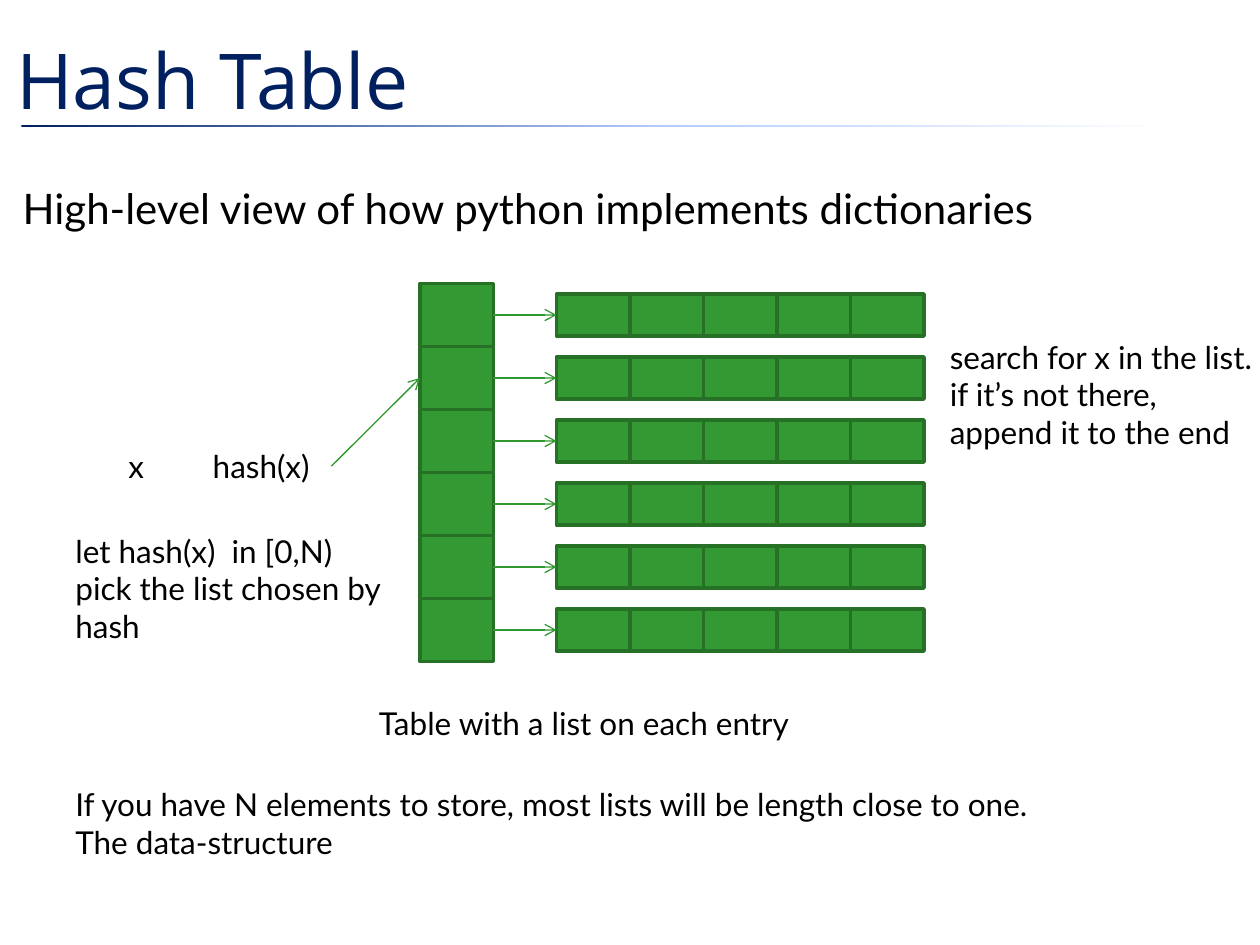
from lxml import etree
from pptx import Presentation
from pptx.dml.color import RGBColor
from pptx.enum import shapes, text
from pptx.oxml import parse_xml
from pptx.oxml.ns import nsdecls, qn
from pptx.util import Inches, Pt

COLORS = {"navy": "002060", "sky": "B4CDFF", "white": "FFFFFF", "black": "000000",
          "cell": "339933", "border": "267126", "arrow": "2F982F"}

prs = Presentation()
prs.slide_width, prs.slide_height = Inches(10), Inches(7.5)
slide = prs.slides.add_slide(prs.slide_layouts[6])


def add_text(words, left, top, width, height, size=18, **options):
    frame = slide.shapes.add_textbox(*map(Inches, (left, top, width, height))).text_frame
    frame.word_wrap = options.get("wrap", False)
    frame.vertical_anchor = options.get("anchor", text.MSO_ANCHOR.TOP)
    frame.text = words
    font_format = {"size": Pt(size), "name": options.get("font", "Lato")}
    for paragraph in frame.paragraphs:
        for run in paragraph.runs:
            for key, value in font_format.items():
                setattr(run.font, key, value)
            run.font.color.rgb = RGBColor.from_string(COLORS[options.get("color", "black")])
    return frame


def add_arrow(x1, y1, x2, y2):
    arrow = slide.shapes.add_connector(shapes.MSO_CONNECTOR.STRAIGHT,
                                       *map(Inches, (x1, y1, x2, y2)))
    arrow.line.width = Pt(0.75)
    arrow.line.color.rgb = RGBColor.from_string(COLORS["arrow"])
    etree.SubElement(arrow.line._get_or_add_ln(), qn("a:tailEnd"), type="arrow")
    etree.SubElement(arrow._element.spPr, qn("a:effectLst"))


# Title rule, fading to the right
rule = slide.shapes.add_shape(shapes.MSO_SHAPE.RECTANGLE, Inches(0.17), Inches(0.99),
                              Inches(9.83), Inches(0.02))
rule.shadow.inherit = False
rule.line.fill.background()
stops = "".join(f'<a:gs pos="{percent * 1000}"><a:srgbClr val="{COLORS[name]}"/></a:gs>'
                for percent, name in ((0, "navy"), (52, "sky"), (93, "white")))
rule._element.spPr.find(qn("a:prstGeom")).addnext(parse_xml(
    f'<a:gradFill {nsdecls("a")}><a:gsLst>{stops}</a:gsLst><a:lin ang="0"/></a:gradFill>'))

# Title and heading
add_text("Hash Table", 0.03, 0, 9.5, 1.25, 44, wrap=True, font="Open Sans",
         color="navy", anchor=text.MSO_ANCHOR.MIDDLE)
heading = add_text("High-level view of how python implements dictionaries",
                   0, 1.4, 9.83, 0.5, 24, wrap=True)
heading.margin_left = Inches(0.18)

# Hash table: one bucket, one list and one arrow per row
rows, list_length = 6, 5
cell_width, bucket_height, list_height = 7 / 12, 0.5, 1 / 3
table_left, table_top, list_left = 10 / 3, 2.25, 53 / 12
buckets = [(table_left, table_top + row * bucket_height, bucket_height) for row in range(rows)]
entries = [(list_left + column * cell_width,
            table_top + row * bucket_height + (bucket_height - list_height) / 2, list_height)
           for row in range(rows) for column in range(list_length)]
for left, top, height in buckets + entries:
    cell = slide.shapes.add_shape(shapes.MSO_SHAPE.FLOWCHART_PROCESS,
                                  *map(Inches, (left, top, cell_width, height)))
    cell.shadow.inherit = False
    cell.fill.solid()
    cell.fill.fore_color.rgb = RGBColor.from_string(COLORS["cell"])
    cell.line.color.rgb = RGBColor.from_string(COLORS["border"])
    cell.line.width = Pt(2)
for row in range(rows):
    middle = table_top + (row + 0.5) * bucket_height
    add_arrow(table_left + cell_width, middle, list_left, middle)

# Key, hash and the bucket it picks
add_text("x", 0.92, 3.5, 0.33, 0.4)
add_text("hash(x)", 1.59, 3.5, 1.04, 0.4)
add_arrow(2.63, 3.7, table_left, 3)

# Explanations
add_text("Table with a list on each entry", 2.91, 5.54, 3.6, 0.4)
add_text("let hash(x)  in [0,N)\vpick the list chosen by \vhash", 0.5, 4.17, 2.78, 1.01)
add_text("If you have N elements to store, most lists will be length close to one.\n"
         "The data-structure", 0.5, 6.18, 8.04, 0.71)
add_text("search for x in the list. \vif it’s not there, \vappend it to the end",
         7.44, 2.63, 2.74, 1.01)

prs.save("out.pptx")
